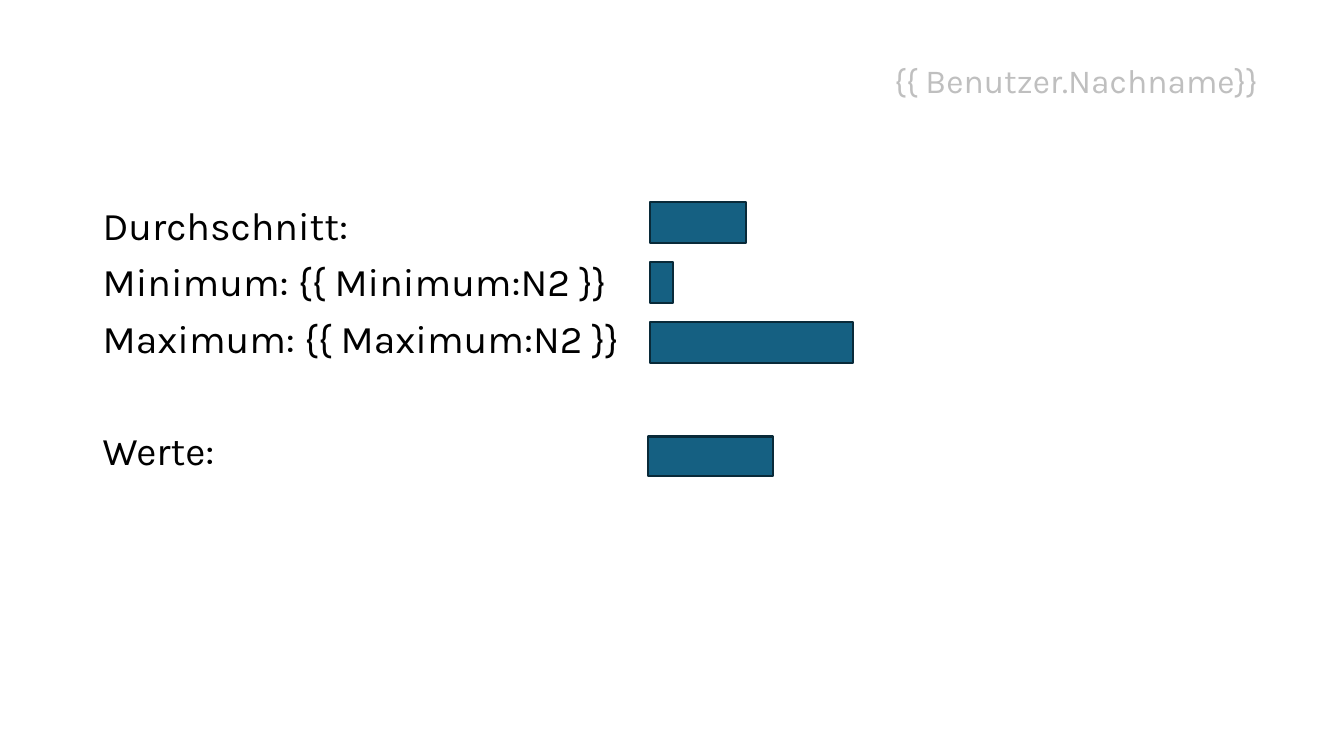
"""Build a slide of statistics labels with a bar beside each."""
from pptx import Presentation
from pptx.dml.color import RGBColor
from pptx.enum.shapes import MSO_SHAPE
from pptx.enum.text import MSO_ANCHOR, PP_ALIGN
from pptx.util import Inches, Pt

CELL = Inches(0.1)
COLS, ROWS = 133.33, 75
FONT = "Karla"
BAR_LEFT, BAR_TOP, BAR_PITCH, BAR_HEIGHT = 64.5, 20, 5.95, 4.1
BAR_WIDTHS = [9.5, 2.3, 20.1]
LABELS = [
    ("Durchschnitt:", 10),
    ("Minimum: {{ Minimum:N2 }}", 10),
    ("Maximum: {{ Maximum:N2 }}", 10),
    ("Werte:", 50),
]


def color(hex_value):
    """Turn a hex string into a colour."""
    return RGBColor.from_string(hex_value)


def cells(*counts):
    """Turn counts of grid cells into lengths."""
    return [round(n * CELL) for n in counts]


def apply(target, formats):
    """Set each attribute in a dict of format values."""
    for name, value in formats.items():
        setattr(target, name, value)


def add_text(s, box, lines, size, hex_value, align, anchor):
    """Add a text box with one paragraph for each line and its space before."""
    tf = s.shapes.add_textbox(*cells(*box)).text_frame
    apply(tf, {"word_wrap": True, "vertical_anchor": anchor})
    for i, (text, before) in enumerate(lines):
        p = tf.add_paragraph() if i else tf.paragraphs[0]
        apply(p, {"alignment": align, "line_spacing": 0.9, "space_before": Pt(before)})
        r = p.add_run()
        r.text = text
        apply(r.font, {"name": FONT, "size": Pt(size)})
        r.font.color.rgb = color(hex_value)


def add_bar(s, box):
    """Add a filled, outlined bar."""
    sp = s.shapes.add_shape(MSO_SHAPE.RECTANGLE, *cells(*box))
    sp.shadow.inherit = False
    sp.fill.solid()
    sp.fill.fore_color.rgb = color("156082")
    sp.line.color.rgb = color("092A39")
    sp.line.width = Pt(1.5)


def main():
    """Build and save the slide."""
    prs = Presentation()
    width, height = cells(COLS, ROWS)
    apply(prs, {"slide_width": width, "slide_height": height})
    s = prs.slides.add_slide(prs.slide_layouts[6])
    add_text(s, (9.2, 20, 115, 47.6), LABELS, 28, "000000", PP_ALIGN.LEFT, MSO_ANCHOR.TOP)
    add_text(s, (84.3, 5.7, 41.5, 4.9), [("{{ Benutzer.Nachname}}", 0)], 24, "BFBFBF",
             PP_ALIGN.RIGHT, MSO_ANCHOR.MIDDLE)
    for i, bar_width in enumerate(BAR_WIDTHS):
        add_bar(s, (BAR_LEFT, BAR_TOP + i * BAR_PITCH, bar_width, BAR_HEIGHT))
    add_bar(s, (64.3, 43.3, 12.4, 3.9))
    prs.save("out.pptx")


if __name__ == "__main__":
    main()
